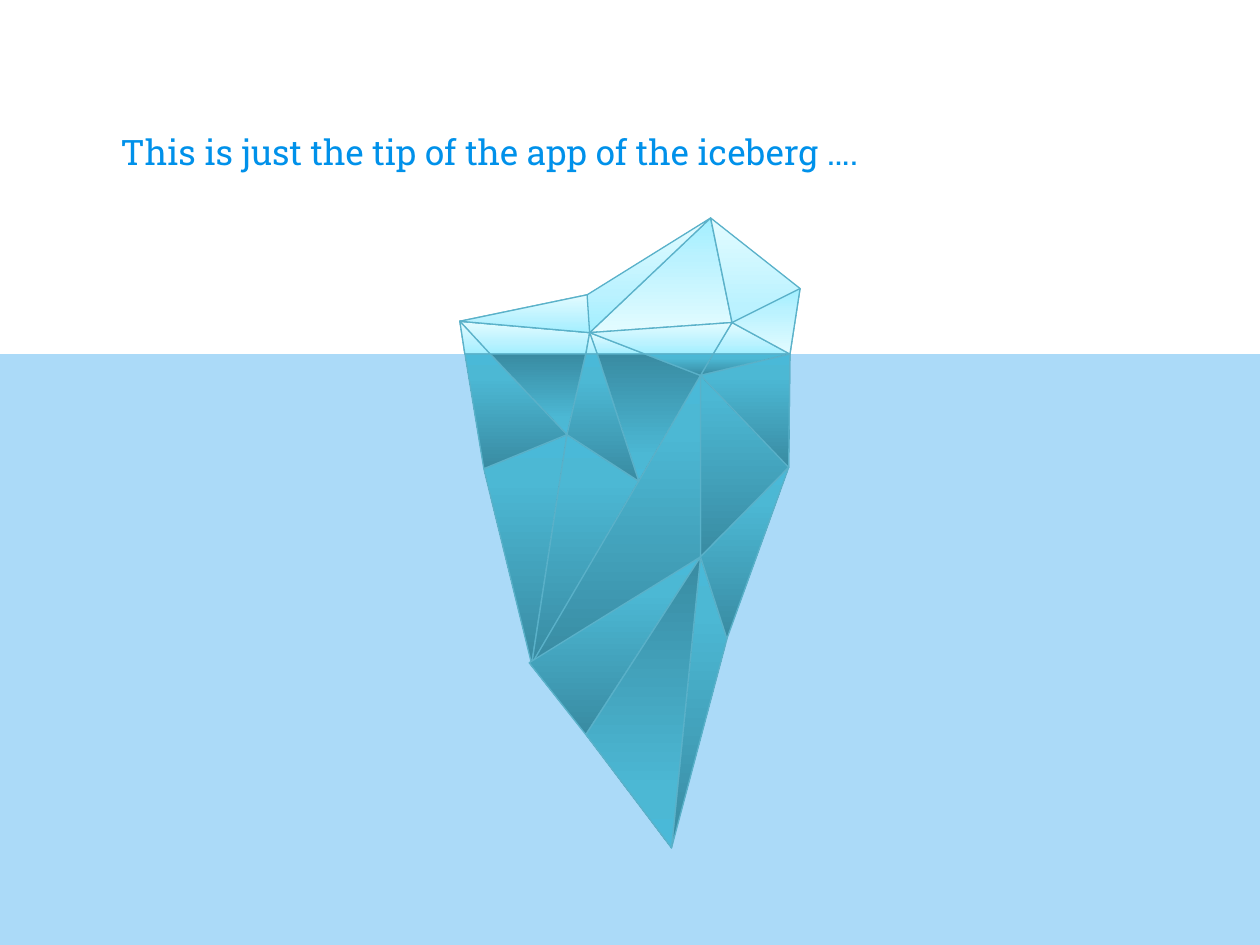
from copy import deepcopy
from lxml import etree
from pptx import Presentation, util as u
from pptx.dml.color import RGBColor
from pptx.enum import shapes, text
from pptx.oxml.ns import qn

BLUE = RGBColor(0x00, 0x91, 0xEA)
EDGE = RGBColor(0x5A, 0xB1, 0xC9)
ICE = [(0, RGBColor(0xA1, 0xEF, 0xFF)), (0.35, RGBColor(0xBB, 0xF2, 0xFF)),
       (1, RGBColor(0xE3, 0xFC, 0xFF))]
DEEP = [(0, RGBColor(0x39, 0x8B, 0xA2)), (0.8, RGBColor(0x4C, 0xB8, 0xD4)),
        (1, RGBColor(0x4A, 0xB9, 0xD8))]
UP, DOWN = 90, 270
WATER = 2.81

POINTS = {
    "A": (5.64, 1.73), "B": (6.35, 2.29), "C": (6.27, WATER), "D": (5.81, 2.56),
    "E": (4.68, 2.64), "F": (3.65, 2.55), "G": (4.66, 2.34), "H": (3.89, WATER),
    "I": (3.69, WATER), "J": (4.65, WATER), "K": (4.74, WATER), "L": (5.12, WATER),
    "M": (5.66, WATER), "N": (5.56, 2.98), "O": (6.26, 3.71), "P": (5.56, 4.42),
    "Q": (4.5, 3.45), "R": (4.22, 5.27), "S": (3.84, 3.72), "T": (5.77, 5.07),
    "U": (5.33, 6.73), "V": (5.07, 3.82), "W": (4.65, 5.83), "X": (4.2, 5.26),
}
FACETS = [
    (ICE, UP, "CFH"), (ICE, DOWN, "AED"), (ICE, UP, "ABCD FHI EJHF AEFG DCM KEL FHI GEF"),
    (ICE, DOWN, "BDC"), (ICE, UP, "KEJ"),
    (DEEP, UP, "COPN QRS"), (DEEP, DOWN, "JQH"), (DEEP, UP, "PTU CNM"),
    (DEEP, DOWN, "VKLN"), (DEEP, UP, "VQR NRP HQSI CNO QVKJ XPW"),
    (DEEP, DOWN, "WUP"), (DEEP, UP, "OTP"), (ICE, UP, "EDML"), (DEEP, UP, "NML"),
]

prs = Presentation()
prs.slide_width, prs.slide_height = u.Inches(10), u.Inches(7.5)
s = prs.slides.add_slide(prs.slide_layouts[6])

tb = s.shapes.add_textbox(u.Inches(0.86), u.Inches(0.45), u.Inches(8.28), u.Inches(1.02))
tf = tb.text_frame
frame = {"word_wrap": True, "vertical_anchor": text.MSO_ANCHOR.BOTTOM}
frame.update({f"margin_{side}": u.Inches(0.1) for side in ("left", "right", "top", "bottom")})
for name, value in frame.items():
    setattr(tf, name, value)
r = tf.paragraphs[0].add_run()
r.text = "This is just the tip of the app of the iceberg …."
for name, value in {"name": "Roboto Slab", "size": u.Pt(20)}.items():
    setattr(r.font, name, value)
r.font.color.rgb = BLUE

sea = s.shapes.add_shape(shapes.MSO_SHAPE.RECTANGLE, 0, u.Inches(WATER),
                         u.Inches(10), u.Inches(7.5 - WATER))
sea.shadow.inherit = False
sea.fill.solid()
sea.fill.fore_color.rgb = BLUE
sea.line.fill.background()
clr = next(sea._element.spPr.iter(qn("a:srgbClr")))
etree.SubElement(clr, qn("a:alpha")).set("val", "33000")

berg = s.shapes.add_group_shape()
for stops, angle, outlines in FACETS:
    for outline in outlines.split():
        pts = [(u.Inches(x), u.Inches(y)) for x, y in (POINTS[c] for c in outline)]
        fb = berg.shapes.build_freeform(*pts[0])
        fb.add_line_segments(pts[1:], close=True)
        sp = fb.convert_to_shape()
        sp.shadow.inherit = False
        sp.line.color.rgb = EDGE
        sp.line.width = u.Pt(0.75)
        sp.fill.gradient()
        sp.fill.gradient_angle = angle
        gs = next(sp._element.spPr.iter(qn("a:gsLst")))
        gs.append(deepcopy(gs[-1]))
        for stop, (position, color) in zip(sp.fill.gradient_stops, stops):
            stop.position = position
            stop.color.rgb = color

prs.save("out.pptx")
